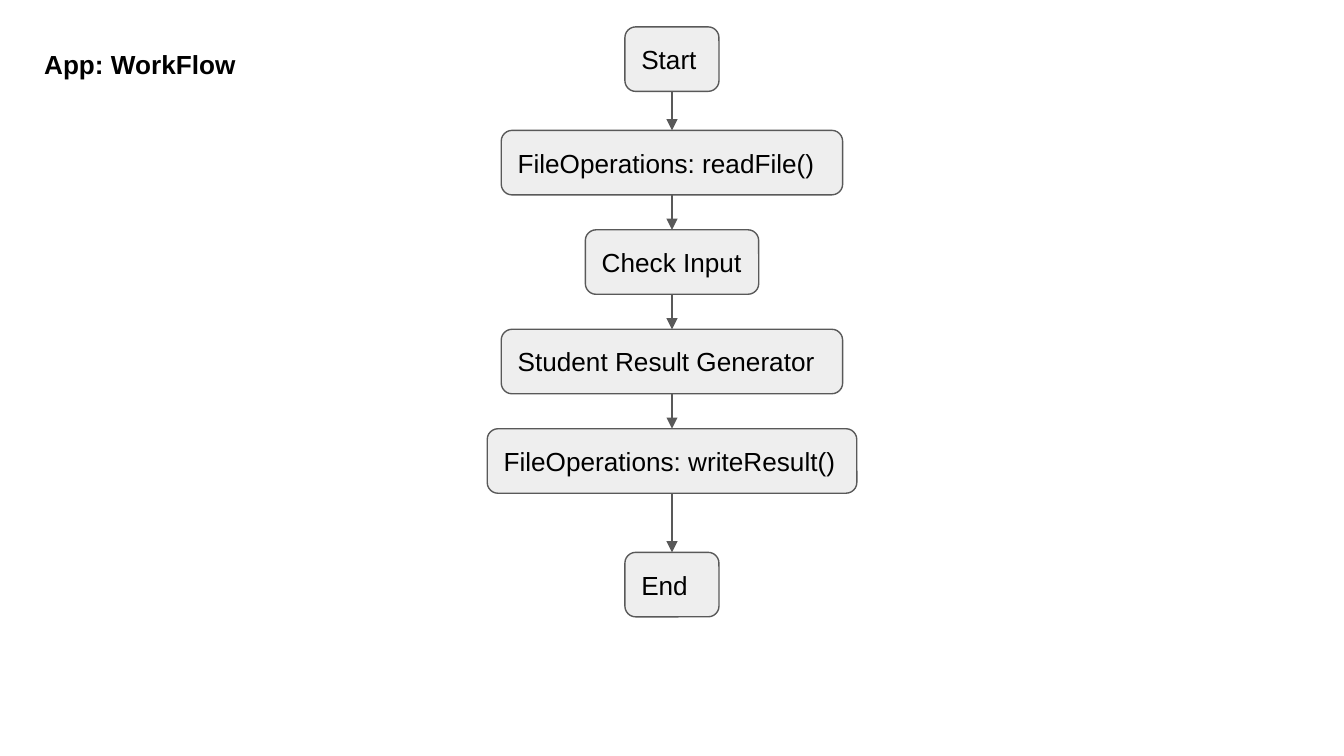
from dataclasses import dataclass

from lxml.etree import SubElement
from pptx import Presentation
from pptx.dml.color import RGBColor
from pptx.enum.shapes import MSO_CONNECTOR as Connector, MSO_SHAPE as Shape
from pptx.enum.text import MSO_ANCHOR as Anchor, PP_ALIGN as Align
from pptx.oxml.ns import qn
from pptx.shapes.autoshape import Shape as AutoShape
from pptx.slide import Slide
from pptx.util import Inches, Pt


@dataclass(frozen=True)
class Theme:
    fill: RGBColor = RGBColor(0xEE, 0xEE, 0xEE)
    line: RGBColor = RGBColor(0x59, 0x59, 0x59)
    text: RGBColor = RGBColor(0, 0, 0)
    font: str = "Arial"
    size: Pt = Pt(14)
    line_width: Pt = Pt(0.75)


@dataclass(frozen=True)
class Step:
    label: str
    top: float
    width: float


THEME = Theme()
SLIDE_WIDTH = Inches(10)
SLIDE_HEIGHT = SLIDE_WIDTH * 9 // 16
CENTER_X = 5
STEP_HEIGHT = 0.48
INSET = Inches(0.1)
TOP, BOTTOM = 0, 2

STEPS = [
    Step("Start", 0.2, 0.7),
    Step("FileOperations: readFile()", 0.97, 2.54),
    Step("Check Input", 1.71, 1.29),
    Step("Student Result Generator", 2.45, 2.54),
    Step("FileOperations: writeResult()", 3.19, 2.75),
    Step("End", 4.11, 0.7),
]


def set_text(sp: AutoShape, text: str, anchor: Anchor, bold: bool = False) -> None:
    tf = sp.text_frame
    tf.text = text
    tf.word_wrap = True
    tf.vertical_anchor = anchor
    tf.margin_left = tf.margin_right = tf.margin_top = tf.margin_bottom = INSET
    p = tf.paragraphs[0]
    p.alignment = Align.LEFT
    font = p.runs[0].font
    font.name, font.size, font.bold = THEME.font, THEME.size, bold
    font.color.rgb = THEME.text


def add_step(s: Slide, step: Step) -> AutoShape:
    sp = s.shapes.add_shape(
        Shape.ROUNDED_RECTANGLE,
        Inches(CENTER_X - step.width / 2), Inches(step.top),
        Inches(step.width), Inches(STEP_HEIGHT),
    )
    sp.shadow.inherit = False
    sp.fill.solid()
    sp.fill.fore_color.rgb = THEME.fill
    sp.line.color.rgb = THEME.line
    sp.line.width = THEME.line_width
    set_text(sp, step.label, Anchor.MIDDLE)
    return sp


def add_arrow(s: Slide, upper: AutoShape, lower: AutoShape) -> None:
    """Join two steps with an arrow pointing down."""
    x = Inches(CENTER_X)
    arrow = s.shapes.add_connector(
        Connector.STRAIGHT, x, upper.top + upper.height, x, lower.top
    )
    arrow.begin_connect(upper, BOTTOM)
    arrow.end_connect(lower, TOP)
    arrow.line.color.rgb = THEME.line
    arrow.line.width = THEME.line_width
    properties = arrow._element.spPr
    SubElement(properties.find(qn("a:ln")), qn("a:tailEnd"), type="triangle")
    SubElement(properties, qn("a:effectLst"))


def main() -> None:
    prs = Presentation()
    prs.slide_width, prs.slide_height = SLIDE_WIDTH, SLIDE_HEIGHT
    s = prs.slides.add_slide(prs.slide_layouts[6])

    boxes = [add_step(s, step) for step in STEPS]
    for upper, lower in zip(boxes, boxes[1:]):
        add_arrow(s, upper, lower)

    title = s.shapes.add_textbox(Inches(0.23), Inches(0.26), Inches(1.71), Inches(0.3))
    set_text(title, "App: WorkFlow", Anchor.TOP, bold=True)

    prs.save("out.pptx")


if __name__ == "__main__":
    main()
